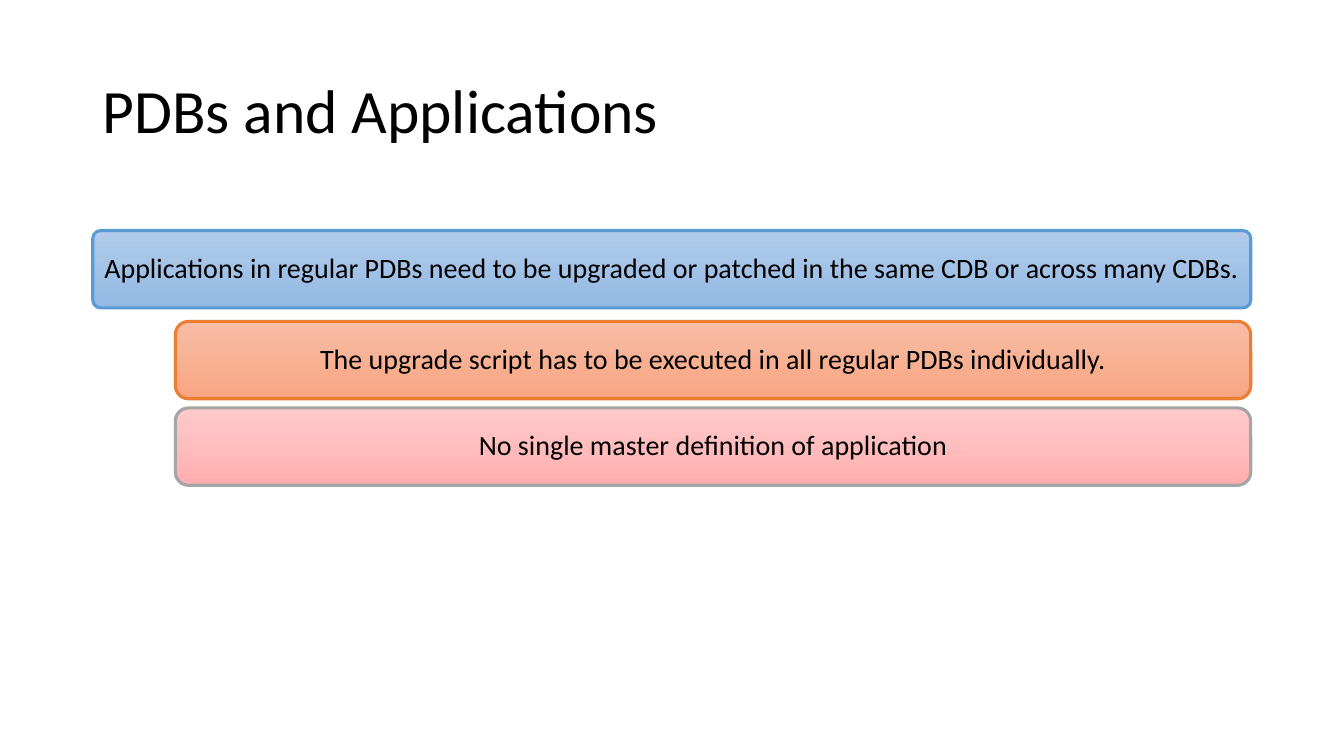
from pptx import Presentation
from pptx.dml.color import RGBColor
from pptx.enum.shapes import MSO_SHAPE
from pptx.enum.text import MSO_ANCHOR, MSO_AUTO_SIZE, PP_ALIGN
from pptx.util import Cm, Pt

ROUND = MSO_SHAPE.ROUNDED_RECTANGLE
MIDDLE = MSO_ANCHOR.MIDDLE
NO_FIT = MSO_AUTO_SIZE.NONE
LEFT, CENTER = PP_ALIGN.LEFT, PP_ALIGN.CENTER
TITLE_ONLY = 5

FONT = "Calibri"
BLACK = "000000"
RIGHT_EDGE = 31.52
BAR_HEIGHT = 1.95

# left, top, corner radius as a share of the height, top fill, bottom fill, line, text
BARS = [
    (2.34, 5.81, 0.1, "B1CBE9", "93B9E4", "5B9BD5",
     "Applications in regular PDBs need to be upgraded or patched "
     "in the same CDB or across many CDBs."),
    (4.42, 8.1, 0.17, "F7BDA5", "F8A582", "ED7D31",
     "The upgrade script has to be executed in all regular PDBs individually."),
    (4.42, 10.28, 0.17, "FFCACA", "FFAFAF", "A5A5A5",
     "No single master definition of application"),
]


def color(code):
    return RGBColor.from_string(code)


def write(shape, text, size, align):
    frame = shape.text_frame
    frame.text = text
    frame.word_wrap = True
    frame.auto_size = NO_FIT
    frame.vertical_anchor = MIDDLE
    para = frame.paragraphs[0]
    para.alignment = align
    para.line_spacing = 0.9
    para.font.name = FONT
    para.font.size = Pt(size)
    para.font.color.rgb = color(BLACK)


def set_title(slide, text):
    title = slide.shapes.title
    title.left, title.top = Cm(2.33), Cm(1.01)
    title.width, title.height = Cm(29.21), Cm(3.68)
    write(title, text, 44, LEFT)


def add_bar(slide, left, top, radius, light, dark, edge, text):
    """Add a rounded bar that ends at the common right edge."""
    bar = slide.shapes.add_shape(
        ROUND, Cm(left), Cm(top), Cm(RIGHT_EDGE - left), Cm(BAR_HEIGHT))
    bar.adjustments[0] = radius
    bar.shadow.inherit = False
    bar.fill.gradient()
    bar.fill.gradient_angle = 270
    for stop, code in zip(bar.fill.gradient_stops, (light, dark)):
        stop.color.rgb = color(code)
    bar.line.color.rgb = color(edge)
    bar.line.width = Pt(2.25)
    frame = bar.text_frame
    frame.margin_left = frame.margin_right = Cm(0.13)
    write(bar, text, 20, CENTER)


def main():
    deck = Presentation()
    deck.slide_width, deck.slide_height = Cm(33.87), Cm(19.05)
    slide = deck.slides.add_slide(deck.slide_layouts[TITLE_ONLY])
    set_title(slide, "PDBs and Applications")
    for bar in BARS:
        add_bar(slide, *bar)
    deck.save("out.pptx")


if __name__ == "__main__":
    main()
